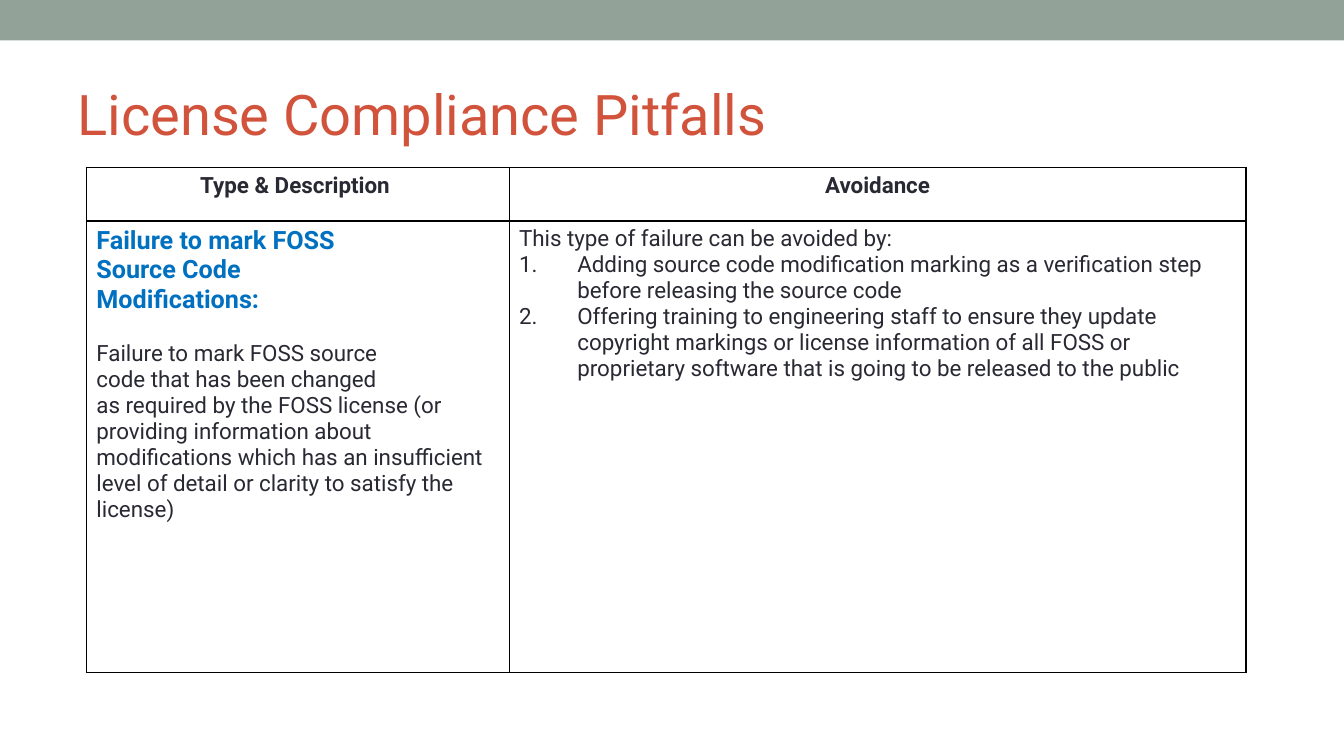
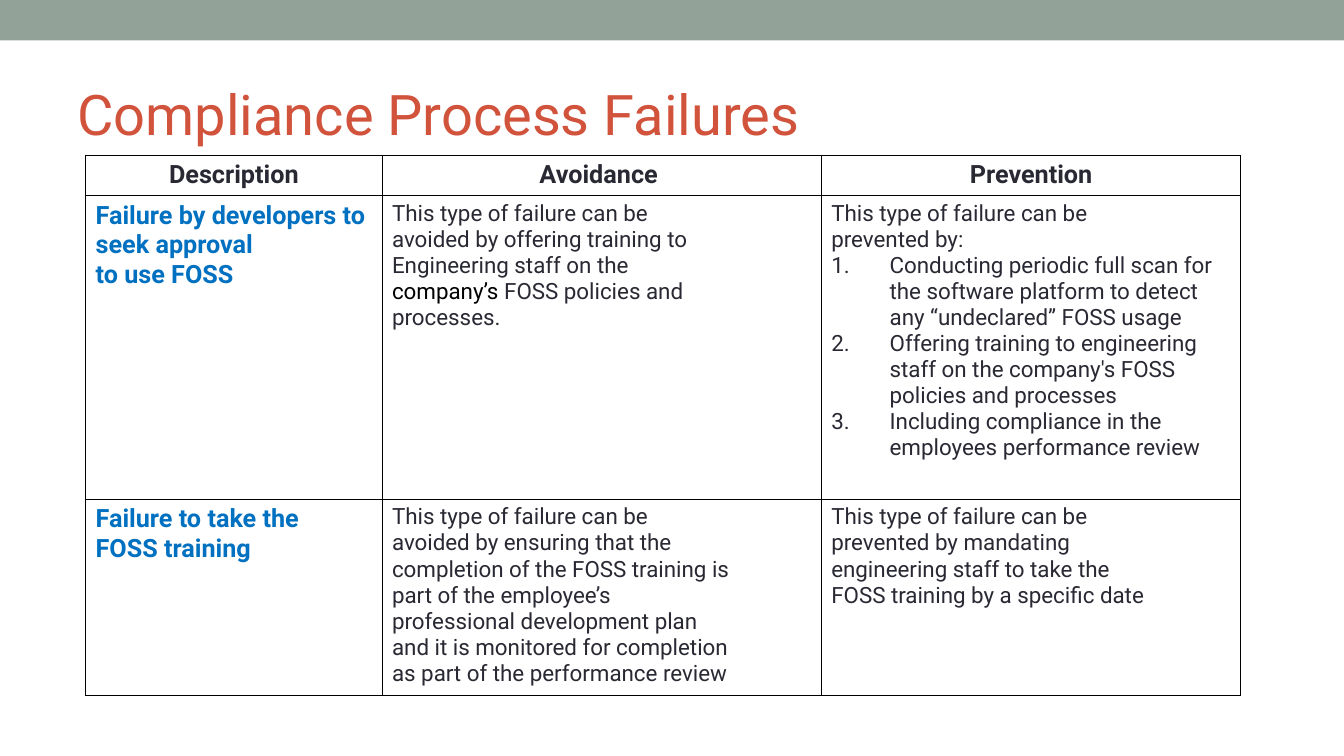
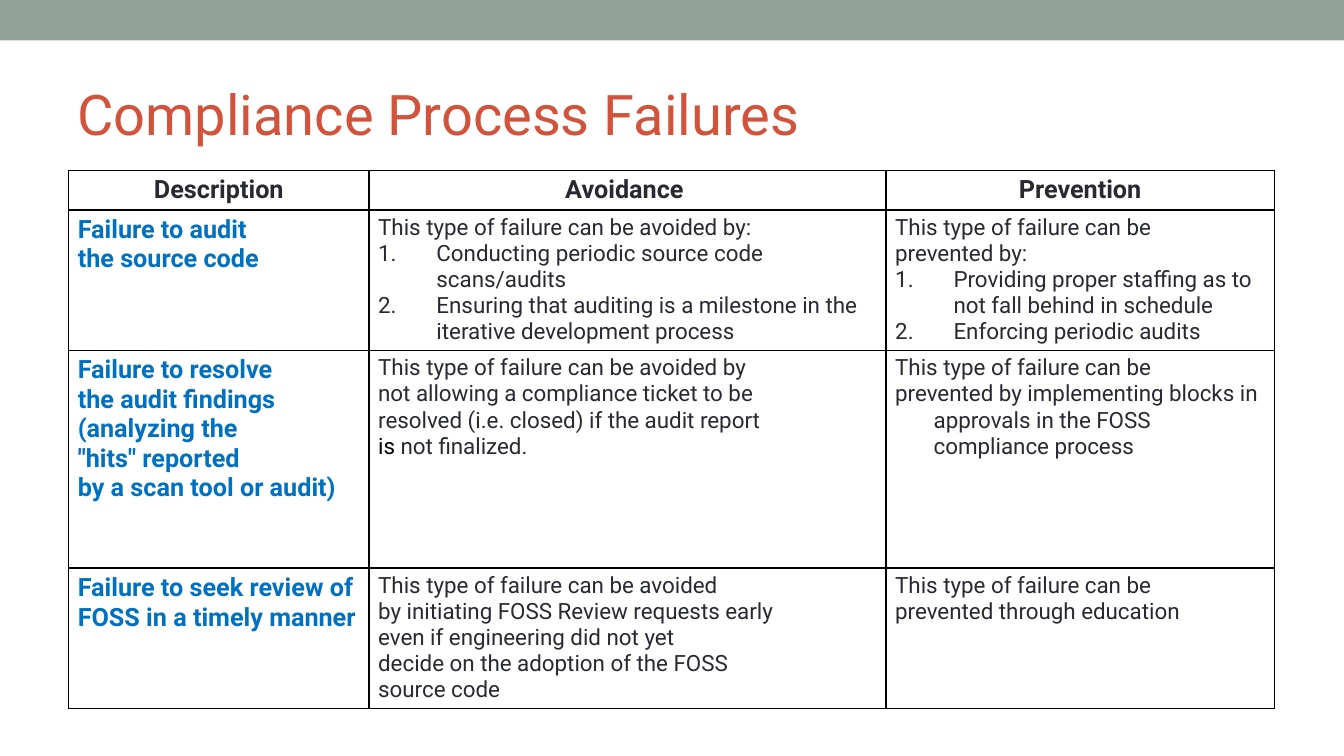
from lxml.etree import SubElement
from pptx import Presentation
from pptx.dml.color import RGBColor
from pptx.enum.shapes import MSO_SHAPE as Shape
from pptx.enum.text import MSO_ANCHOR as Anchor, MSO_AUTO_SIZE as AutoSize, PP_ALIGN as Align
from pptx.oxml.ns import qn
from pptx.util import Cm, Pt

COLORS = {
    "band": "93A299",
    "title": "D2533C",
    "body": "292934",
    "topic": "0070C0",
    "black": "000000",
}
FONT = "Roboto"
TITLE_ONLY = 5
BODY_SIZE, TOPIC_SIZE = 16, 18
LINE_INDENT, STEP_INDENT = Cm(0.97), Cm(1.47)


def color(name):
    return RGBColor.from_string(COLORS[name])


def add_color(parent, name):
    SubElement(parent, qn("a:srgbClr"), val=COLORS[name])


def write(frame, text, size=BODY_SIZE, ink="body", bold=False, align=Align.LEFT,
          hanging=0, numbered=False, before=0):
    """Add a paragraph; text is a string or a list of (string, colour name)."""
    para = frame.paragraphs[0]
    if para.runs:
        para = frame.add_paragraph()
    para.alignment = align
    para.space_before = Pt(before)
    for words, shade in [(text, ink)] if isinstance(text, str) else text:
        span = para.add_run()
        span.text = words
        span.font.name = FONT
        span.font.size = Pt(size)
        span.font.bold = bold
        span.font.color.rgb = color(shade)
    props = para._p.get_or_add_pPr()
    if hanging:
        props.set("marL", str(hanging))
        props.set("indent", str(-hanging))
    if numbered:
        add_color(SubElement(props, qn("a:buClr")), ink)
        SubElement(props, qn("a:buFont"), typeface=FONT)
        SubElement(props, qn("a:buAutoNum"), type="arabicPeriod")


def topic(*lines, detail=()):
    """Cell content: bold blue lines, then plain detail set off by a gap."""
    content = [(line, dict(size=TOPIC_SIZE, ink="topic", bold=True)) for line in lines]
    return content + [(line, dict(before=0 if i else 18.75)) for i, line in enumerate(detail)]


def advice(*lines, steps=()):
    """Cell content: plain lines, then numbered steps."""
    content = [(line, dict(hanging=LINE_INDENT)) for line in lines]
    return content + [(step, dict(hanging=STEP_INDENT, numbered=True)) for step in steps]


class Deck:
    def __init__(self):
        self.deck = Presentation()
        self.deck.slide_width, self.deck.slide_height = Cm(33.87), Cm(19.05)
        self.page = None

    def add_page(self, title):
        self.page = self.deck.slides.add_slide(self.deck.slide_layouts[TITLE_ONLY])
        self.add_band()
        self.set_title(title)

    def add_band(self):
        band = self.page.shapes.add_shape(Shape.RECTANGLE, 0, 0, self.deck.slide_width, Cm(1.02))
        band.shadow.inherit = False
        band.fill.solid()
        band.fill.fore_color.rgb = color("band")
        band.line.fill.background()

    def set_title(self, text):
        box = self.page.shapes.title
        box.left, box.top, box.width, box.height = Cm(1.7), Cm(1.47), Cm(30.48), Cm(2.74)
        frame = box.text_frame
        frame.auto_size = AutoSize.NONE
        frame.vertical_anchor = Anchor.MIDDLE
        write(frame, text, size=40, ink="title")

    def add_table(self, left, top, widths, heights, headers, rows,
                  header_size=TOPIC_SIZE, margin=0.25):
        shape = self.page.shapes.add_table(
            len(heights), len(widths), Cm(left), Cm(top), Cm(sum(widths)), Cm(sum(heights)))
        table = shape.table
        table.first_row = table.horz_banding = False
        for column, width in zip(table.columns, widths):
            column.width = Cm(width)
        for row, height in zip(table.rows, heights):
            row.height = Cm(height)
        header_style = dict(size=header_size, bold=True, align=Align.CENTER)
        header_row = [[(text, header_style)] for text in headers]
        for r, contents in enumerate([header_row] + rows):
            for c, content in enumerate(contents):
                self.fill_cell(table.cell(r, c), content, margin)

    def fill_cell(self, cell, content, margin):
        cell.margin_left = cell.margin_right = Cm(margin)
        props = cell._tc.get_or_add_tcPr()
        for side in ("lnL", "lnR", "lnT", "lnB"):
            line = SubElement(props, qn(f"a:{side}"), w=str(Pt(1)))
            add_color(SubElement(line, qn("a:solidFill")), "black")
        cell.fill.background()
        for text, style in content:
            write(cell.text_frame, text, **style)

    def save(self):
        self.deck.save("out.pptx")


def add_pitfalls(deck):
    deck.add_page("License Compliance Pitfalls")
    deck.add_table(
        2.18, 4.22, [10.65, 18.57], [1.35, 11.37],
        ["Type & Description ", "Avoidance"],
        [[
            topic("Failure to mark FOSS", "Source Code", "Modifications:", detail=[
                "Failure to mark FOSS source",
                "code that has been changed",
                "as required by the FOSS license (or providing information about "
                "modifications which has an insufficient level of detail or clarity "
                "to satisfy the license)",
            ]),
            advice("This type of failure can be avoided by:", steps=[
                "Adding source code modification marking as a verification step "
                "before releasing the source code",
                "Offering training to engineering staff to ensure they update copyright "
                "markings or license information of all FOSS or proprietary software "
                "that is going to be released to the public",
            ]),
        ]],
        header_size=BODY_SIZE)


def add_training_failures(deck):
    deck.add_page("Compliance Process Failures")
    deck.add_table(
        2.16, 3.91, [7.47, 11.07, 10.57], [1.02, 7.65, 4.95],
        ["Description", "Avoidance ", "Prevention"],
        [[
            topic("Failure by developers to seek approval", "to use FOSS"),
            advice("This type of failure can be",
                   "avoided by offering training to",
                   "Engineering staff on the",
                   [("company’s ", "black"), ("FOSS policies and", "body")],
                   "processes."),
            advice("This type of failure can be", "prevented by:", steps=[
                "Conducting periodic full scan for the software platform to detect "
                "any “undeclared” FOSS usage",
                "Offering training to engineering staff on the company's FOSS "
                "policies and processes",
                "Including compliance in the employees performance review",
            ]),
        ], [
            topic("Failure to take the", "FOSS training"),
            advice("This type of failure can be",
                   "avoided by ensuring that the",
                   "completion of the FOSS training is",
                   "part of the employee’s",
                   "professional development plan",
                   "and it is monitored for completion",
                   "as part of the performance review"),
            advice("This type of failure can be",
                   "prevented by mandating",
                   "engineering staff to take the",
                   "FOSS training by a specific date"),
        ]])


def add_audit_failures(deck):
    deck.add_page("Compliance Process Failures")
    deck.add_table(
        1.73, 4.29, [7.57, 13.03, 9.78], [0.99, 3.53, 5.49, 3.53],
        ["Description", "Avoidance ", "Prevention"],
        [[
            topic("Failure to audit", "the source code"),
            advice("This type of failure can be avoided by:", steps=[
                "Conducting periodic source code scans/audits",
                "Ensuring that auditing is a milestone in the iterative development process",
            ]),
            advice("This type of failure can be", "prevented by:", steps=[
                "Providing proper staffing as to not fall behind in schedule",
                "Enforcing periodic audits",
            ]),
        ], [
            topic("Failure to resolve", "the audit findings", "(analyzing the",
                  '"hits" reported', "by a scan tool or audit)"),
            advice("This type of failure can be avoided by",
                   "not allowing a compliance ticket to be",
                   "resolved (i.e. closed) if the audit report",
                   [("is ", "black"), ("not finalized.", "body")]),
            advice("This type of failure can be",
                   "prevented by implementing blocks in approvals in the FOSS "
                   "compliance process"),
        ], [
            topic("Failure to seek review of FOSS in a timely manner"),
            advice("This type of failure can be avoided",
                   "by initiating FOSS Review requests early",
                   "even if engineering did not yet",
                   "decide on the adoption of the FOSS",
                   "source code"),
            advice("This type of failure can be", "prevented through education"),
        ]],
        margin=0.23)


def main():
    deck = Deck()
    add_pitfalls(deck)
    add_training_failures(deck)
    add_audit_failures(deck)
    deck.save()


if __name__ == "__main__":
    main()
